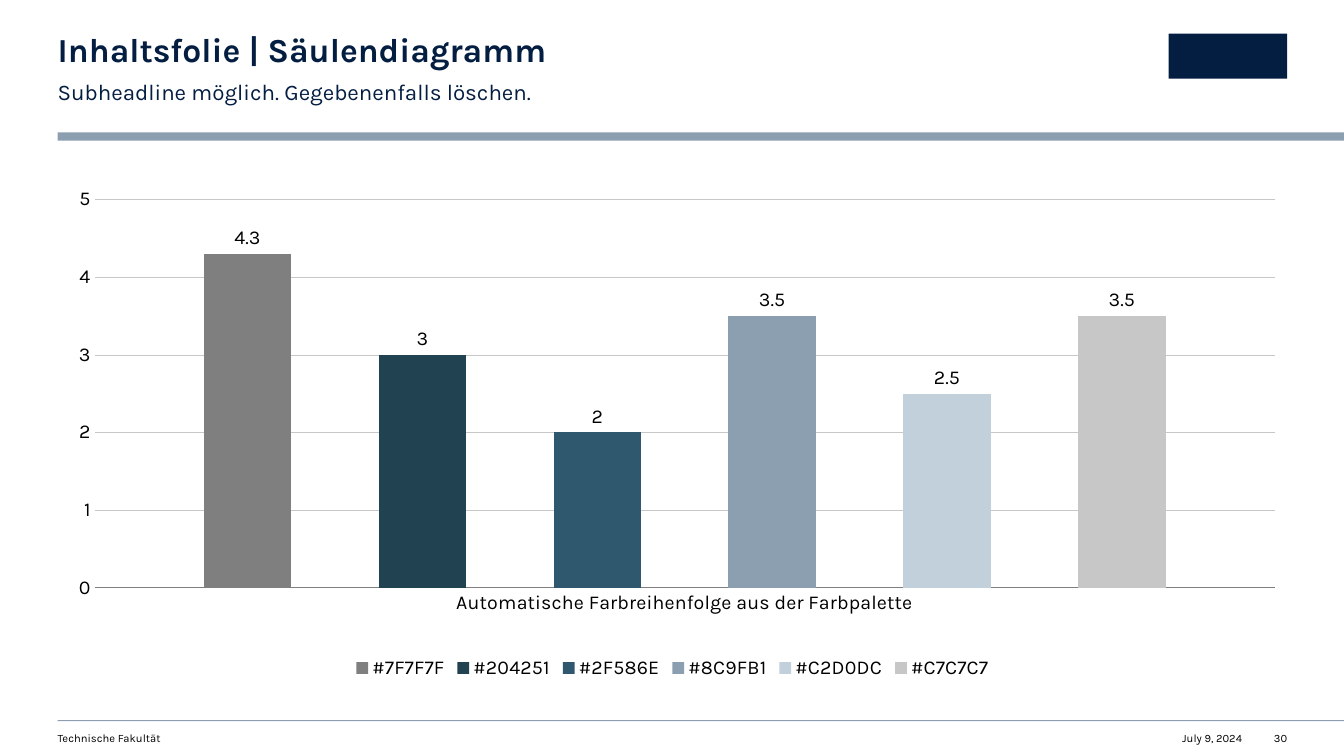
from lxml import etree
from pptx import Presentation
from pptx.chart.data import CategoryChartData
from pptx.dml.color import RGBColor
from pptx.enum.chart import XL_CHART_TYPE, XL_LABEL_POSITION, XL_LEGEND_POSITION, XL_TICK_MARK
from pptx.enum.shapes import MSO_SHAPE
from pptx.enum.text import MSO_ANCHOR, PP_ALIGN
from pptx.oxml.ns import qn
from pptx.util import Pt

PX = 9525  # 96 px to the inch
WIDTH, HEIGHT = 1280, 720
LEFT, RIGHT = 55, 1226
TITLE_ONLY = 5

FONT = "Karla"
NAVY = RGBColor(0x04, 0x1E, 0x42)
BLUE_GREY = RGBColor(0x8C, 0x9F, 0xB1)
BLACK = RGBColor(0, 0, 0)
AXIS_GREY = RGBColor(0x7F, 0x7F, 0x7F)
GRID_GREY = RGBColor(0xC7, 0xC7, 0xC7)

COLUMN = XL_CHART_TYPE.COLUMN_CLUSTERED
OUTSIDE_END = XL_LABEL_POSITION.OUTSIDE_END
LEGEND_BOTTOM = XL_LEGEND_POSITION.BOTTOM
NO_TICK = XL_TICK_MARK.NONE
RECTANGLE = MSO_SHAPE.RECTANGLE
TOP = MSO_ANCHOR.TOP
ALIGN_LEFT, ALIGN_RIGHT = PP_ALIGN.LEFT, PP_ALIGN.RIGHT

CATEGORY = "Automatische Farbreihenfolge aus der Farbpalette"
PALETTE = {
    "7F7F7F": 4.3,
    "204251": 3,
    "2F586E": 2,
    "8C9FB1": 3.5,
    "C2D0DC": 2.5,
    "C7C7C7": 3.5,
}
PLOT_AREA = {"x": 0.03, "y": 0.04, "w": 0.96, "h": 0.77}


def emu(box):
    return [length * PX for length in box]


def style_font(font, size, color=BLACK, bold=False):
    for name, value in {"name": FONT, "size": Pt(size), "bold": bold}.items():
        setattr(font, name, value)
    font.color.rgb = color


def fill_text(shape, text, size, color=BLACK, bold=False, align=ALIGN_LEFT, spacing=1.0):
    frame = shape.text_frame
    settings = {"margin_left": 0, "margin_right": 0, "margin_top": 0, "margin_bottom": 0,
                "vertical_anchor": TOP, "word_wrap": True}
    for name, value in settings.items():
        setattr(frame, name, value)
    frame.text = text
    paragraph = frame.paragraphs[0]
    paragraph.alignment = align
    paragraph.line_spacing = spacing
    style_font(paragraph.runs[0].font, size, color, bold)


def add_block(slide, box, color):
    block = slide.shapes.add_shape(RECTANGLE, *emu(box))
    block.shadow.inherit = False
    block.fill.solid()
    block.fill.fore_color.rgb = color
    block.line.fill.background()


def add_header(slide, box):
    x, y, width, height = box
    title = slide.shapes.title
    title.left, title.top, title.width, title.height = emu((x, y, 719, 35))
    fill_text(title, "Inhaltsfolie | Säulendiagramm", 24, NAVY, bold=True, spacing=0.9)
    subheadline = slide.shapes.add_textbox(*emu((x, y + 40, 719, 26)))
    fill_text(subheadline, "Subheadline möglich. Gegebenenfalls löschen.", 16, NAVY, spacing=1.1)
    add_block(slide, (RIGHT - 113, y, 113, 43), NAVY)
    add_block(slide, (x, y + height - 8, width, 8), BLUE_GREY)


def add_footer(slide, box):
    x, y, width, height = box
    add_block(slide, (x, y, width, 1), BLUE_GREY)
    for text, left, right, align in (
        ("Technische Fakultät", x, x + 574, ALIGN_LEFT),
        ("July 9, 2024", RIGHT - 114, RIGHT - 43, ALIGN_RIGHT),
        ("30", RIGHT - 30, RIGHT, ALIGN_RIGHT),
    ):
        entry = slide.shapes.add_textbox(*emu((left, y + 11, right - left, height - 11)))
        fill_text(entry, text, 8, align=align)


def fix_plot_area(chart):
    """Pin the inner plot area to fractions of the chart frame."""
    plot_area = chart._chartSpace.chart.plotArea
    for automatic in plot_area.findall(qn("c:layout")):
        plot_area.remove(automatic)
    layout = etree.Element(qn("c:layout"))
    manual = etree.SubElement(layout, qn("c:manualLayout"))
    settings = {"layoutTarget": "inner", "xMode": "edge", "yMode": "edge", **PLOT_AREA}
    for name, value in settings.items():
        etree.SubElement(manual, qn(f"c:{name}")).set("val", str(value))
    plot_area.insert(0, layout)


def style_axes(chart):
    for axis in (chart.category_axis, chart.value_axis):
        axis.major_tick_mark = axis.minor_tick_mark = NO_TICK
        style_font(axis.tick_labels.font, 14)
    values = chart.value_axis
    scale = {"minimum_scale": 0, "maximum_scale": 5, "major_unit": 1}
    for name, value in scale.items():
        setattr(values, name, value)
    values.format.line.fill.background()
    for line, color in ((chart.category_axis.format.line, AXIS_GREY),
                        (values.major_gridlines.format.line, GRID_GREY)):
        line.color.rgb = color
        line.width = Pt(0.5)


def add_palette_chart(slide, box):
    data = CategoryChartData()
    data.categories = [CATEGORY]
    for code, value in PALETTE.items():
        data.add_series(f"#{code}", [value])
    chart = slide.shapes.add_chart(COLUMN, *emu(box), data).chart
    style_font(chart.font, 14)
    chart.has_title = False
    chart.has_legend = True
    chart.legend.position = LEGEND_BOTTOM
    chart.legend.include_in_layout = False
    style_font(chart.legend.font, 14)
    style_axes(chart)

    plot = chart.plots[0]
    for name, value in {"gap_width": 250, "overlap": -100, "vary_by_categories": False}.items():
        setattr(plot, name, value)
    for series, code in zip(plot.series, PALETTE):
        series.format.fill.solid()
        series.format.fill.fore_color.rgb = RGBColor.from_string(code)
        labels = series.data_labels
        labels.show_value = True
        labels.position = OUTSIDE_END
        style_font(labels.font, 14)
    fix_plot_area(chart)


def main():
    presentation = Presentation()
    presentation.slide_width, presentation.slide_height = emu((WIDTH, HEIGHT))
    slide = presentation.slides.add_slide(presentation.slide_layouts[TITLE_ONLY])
    add_header(slide, (LEFT, 32, WIDTH - LEFT, 102))
    add_palette_chart(slide, (LEFT, 171, RIGHT - LEFT, 480))
    add_footer(slide, (LEFT, 686, WIDTH - LEFT, 24))
    presentation.save("out.pptx")


if __name__ == "__main__":
    main()
